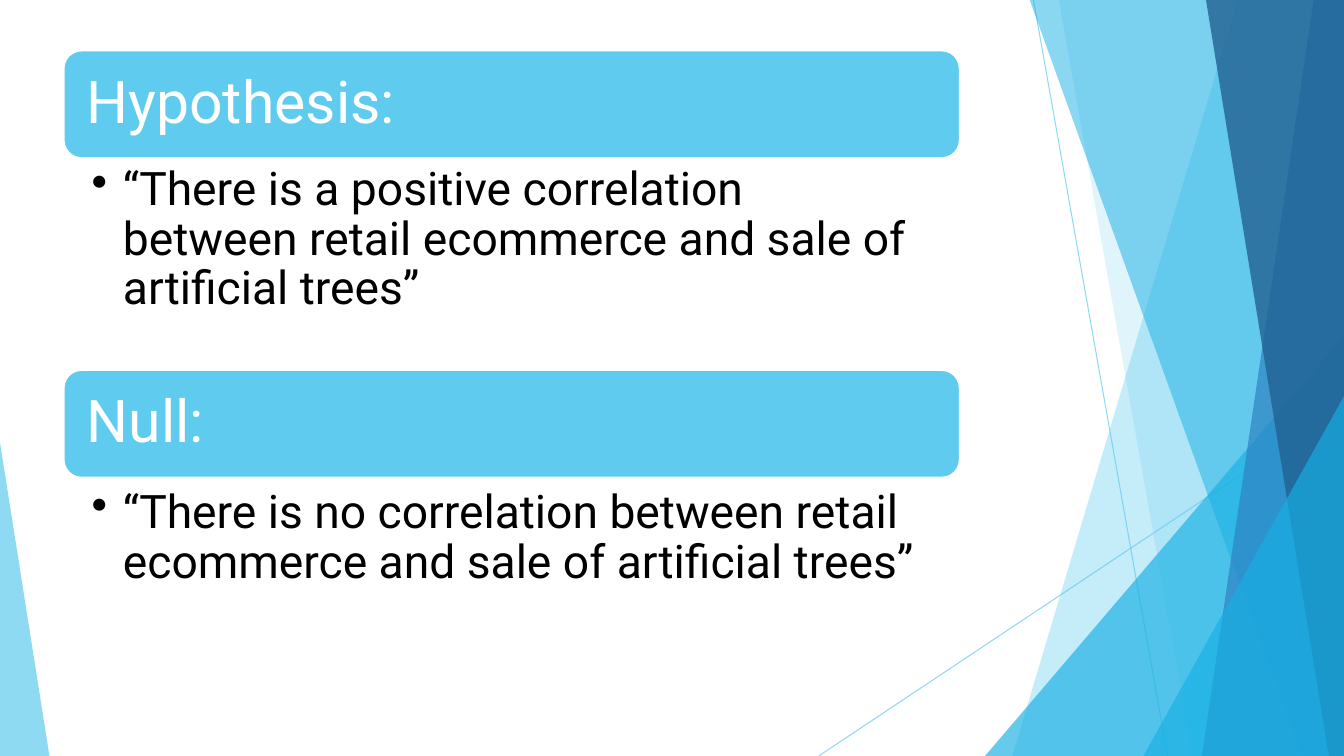
"""Build the hypothesis and null hypothesis slide with its faceted backdrop."""
from dataclasses import dataclass

from lxml import etree
from pptx import Presentation
from pptx.dml.color import RGBColor
from pptx.enum.shapes import MSO_CONNECTOR, MSO_SHAPE
from pptx.enum.text import MSO_ANCHOR, PP_ALIGN
from pptx.oxml.ns import qn
from pptx.shapes.autoshape import Shape
from pptx.slide import Slide
from pptx.util import Inches, Pt

STRAIGHT = MSO_CONNECTOR.STRAIGHT
TRIANGLE = MSO_SHAPE.ISOSCELES_TRIANGLE
ROUNDED = MSO_SHAPE.ROUNDED_RECTANGLE
MIDDLE = MSO_ANCHOR.MIDDLE
TOP = MSO_ANCHOR.TOP
LEFT = PP_ALIGN.LEFT

SLIDE_WIDTH, SLIDE_HEIGHT = 13.33, 7.5
FACET_TOP = -0.01
BLOCK_LEFT, BLOCK_WIDTH = 0.63, 8.89
BANNER_HEIGHT = 1.07
HEADING_INSET = 0.06


@dataclass(frozen=True)
class Theme:
    """Colours, font and type sizes of the slide."""
    sky: str = "5FCBEF"
    cyan: str = "17B0E4"
    blue: str = "2E83C3"
    navy: str = "226292"
    white: str = "FFFFFF"
    black: str = "000000"
    font: str = "Roboto"
    heading_size: float = 42
    body_size: float = 33


@dataclass(frozen=True)
class Ray:
    """A thin line from one point to another."""
    start: tuple[float, float]
    end: tuple[float, float]


@dataclass(frozen=True)
class Facet:
    """A four-sided pane reaching the right edge of the slide."""
    top_left: float
    bottom_left: float
    color: str
    opacity: int


@dataclass(frozen=True)
class Corner:
    """A right triangle standing on the bottom of the slide."""
    left: float
    top: float
    width: float
    apex: float
    color: str
    opacity: int


@dataclass(frozen=True)
class Statement:
    """A banner heading with one bulleted sentence below it."""
    heading: str
    sentence: str
    banner_top: float
    sentence_top: float
    sentence_height: float


THEME = Theme()
RAYS = (Ray((10.25, 0), (11.58, 7.5)), Ray((13.33, 4.03), (8.12, 7.5)))
BACKDROP = (
    Facet(12.28, 10.04, THEME.sky, 36),
    Facet(10.5, 11.83, THEME.sky, 20),
    Corner(9.77, 3.33, 3.56, 1, THEME.cyan, 66),
    Facet(10.21, 12.91, THEME.cyan, 50),
    Facet(13.03, 11.92, THEME.blue, 70),
    Facet(11.96, 13.18, THEME.navy, 80),
    Corner(11.34, 3.93, 1.99, 1, THEME.cyan, 66),
    Corner(0, 4.39, 0.49, 0, THEME.sky, 70),
)
STATEMENTS = (
    Statement(
        "Hypothesis:",
        "“There is a positive correlation between retail ecommerce and sale of artificial trees”",
        0.5, 1.58, 2.14,
    ),
    Statement(
        "Null:",
        "“There is no correlation between retail ecommerce and sale of artificial trees”",
        3.67, 4.79, 1.57,
    ),
)


def set_opacity(properties: etree._Element, percent: int) -> None:
    """Make the first solid colour below the element translucent."""
    color = next(properties.iter(qn("a:srgbClr")))
    etree.SubElement(color, qn("a:alpha"), val=str(percent * 1000))


def fill_shape(shape: Shape, color: str, opacity: int) -> None:
    """Give a backdrop shape a translucent fill without outline or shadow."""
    shape.shadow.inherit = False
    shape.fill.solid()
    shape.fill.fore_color.rgb = RGBColor.from_string(color)
    set_opacity(shape.fill._xPr, opacity)
    shape.line.fill.background()


def draw_ray(slide: Slide, ray: Ray) -> None:
    """Draw one thin translucent line."""
    points = [Inches(value) for value in (*ray.start, *ray.end)]
    connector = slide.shapes.add_connector(STRAIGHT, *points)
    connector.line.width = Pt(0.75)
    connector.line.color.rgb = RGBColor.from_string(THEME.sky)
    set_opacity(connector.line._get_or_add_ln(), 70)
    etree.SubElement(connector._element.spPr, qn("a:effectLst"))


def draw_facet(slide: Slide, facet: Facet) -> None:
    """Draw one pane of the backdrop."""
    outline = (
        (facet.top_left, FACET_TOP),
        (SLIDE_WIDTH, FACET_TOP),
        (SLIDE_WIDTH, SLIDE_HEIGHT),
        (facet.bottom_left, SLIDE_HEIGHT),
    )
    points = [(Inches(x), Inches(y)) for x, y in outline]
    builder = slide.shapes.build_freeform(*points[0])
    builder.add_line_segments(points[1:], close=True)
    fill_shape(builder.convert_to_shape(), facet.color, facet.opacity)


def draw_corner(slide: Slide, corner: Corner) -> None:
    """Draw one triangle of the backdrop."""
    shape = slide.shapes.add_shape(
        TRIANGLE, Inches(corner.left), Inches(corner.top),
        Inches(corner.width), Inches(SLIDE_HEIGHT - corner.top),
    )
    shape.adjustments[0] = corner.apex
    fill_shape(shape, corner.color, corner.opacity)


def add_text(slide: Slide, text: str, box: tuple[float, float, float, float],
             insets: tuple[float, float, float, float], anchor: MSO_ANCHOR,
             size: float, color: str, bulleted: bool = False) -> None:
    """Add a wrapped text box holding one paragraph."""
    frame = slide.shapes.add_textbox(*(Inches(value) for value in box)).text_frame
    frame.word_wrap = True
    frame.vertical_anchor = anchor
    (frame.margin_left, frame.margin_top,
     frame.margin_right, frame.margin_bottom) = (Inches(value) for value in insets)
    paragraph = frame.paragraphs[0]
    paragraph.text = text
    paragraph.alignment = LEFT
    if bulleted:
        paragraph.level = 1
        properties = paragraph._p.get_or_add_pPr()
        properties.set("marL", str(Inches(0.31)))
        properties.set("indent", str(-Inches(0.31)))
        etree.SubElement(properties, qn("a:buChar"), char="•")
    paragraph.line_spacing = 0.9
    font = paragraph.runs[0].font
    font.name = THEME.font
    font.size = Pt(size)
    font.color.rgb = RGBColor.from_string(color)


def draw_statement(slide: Slide, statement: Statement) -> None:
    """Draw a banner, its heading and the sentence below."""
    banner = slide.shapes.add_shape(
        ROUNDED, Inches(BLOCK_LEFT), Inches(statement.banner_top),
        Inches(BLOCK_WIDTH), Inches(BANNER_HEIGHT),
    )
    banner.shadow.inherit = False
    banner.fill.solid()
    banner.fill.fore_color.rgb = RGBColor.from_string(THEME.sky)
    banner.line.color.rgb = RGBColor.from_string(THEME.white)
    banner.line.width = Pt(1.5)
    heading_box = (BLOCK_LEFT + HEADING_INSET, statement.banner_top + HEADING_INSET,
                   BLOCK_WIDTH - 2 * HEADING_INSET, BANNER_HEIGHT - 2 * HEADING_INSET)
    add_text(slide, statement.heading, heading_box, (0.17, 0.17, 0.17, 0.17),
             MIDDLE, THEME.heading_size, THEME.white)
    sentence_box = (BLOCK_LEFT, statement.sentence_top, BLOCK_WIDTH, statement.sentence_height)
    add_text(slide, statement.sentence, sentence_box, (0.28, 0.06, 0.33, 0.06),
             TOP, THEME.body_size, THEME.black, bulleted=True)


def main() -> None:
    """Build and save the presentation."""
    presentation = Presentation()
    presentation.slide_width = Inches(SLIDE_WIDTH)
    presentation.slide_height = Inches(SLIDE_HEIGHT)
    slide = presentation.slides.add_slide(presentation.slide_layouts[6])
    for ray in RAYS:
        draw_ray(slide, ray)
    for part in BACKDROP:
        if isinstance(part, Facet):
            draw_facet(slide, part)
        else:
            draw_corner(slide, part)
    for statement in STATEMENTS:
        draw_statement(slide, statement)
    presentation.save("out.pptx")


if __name__ == "__main__":
    main()
